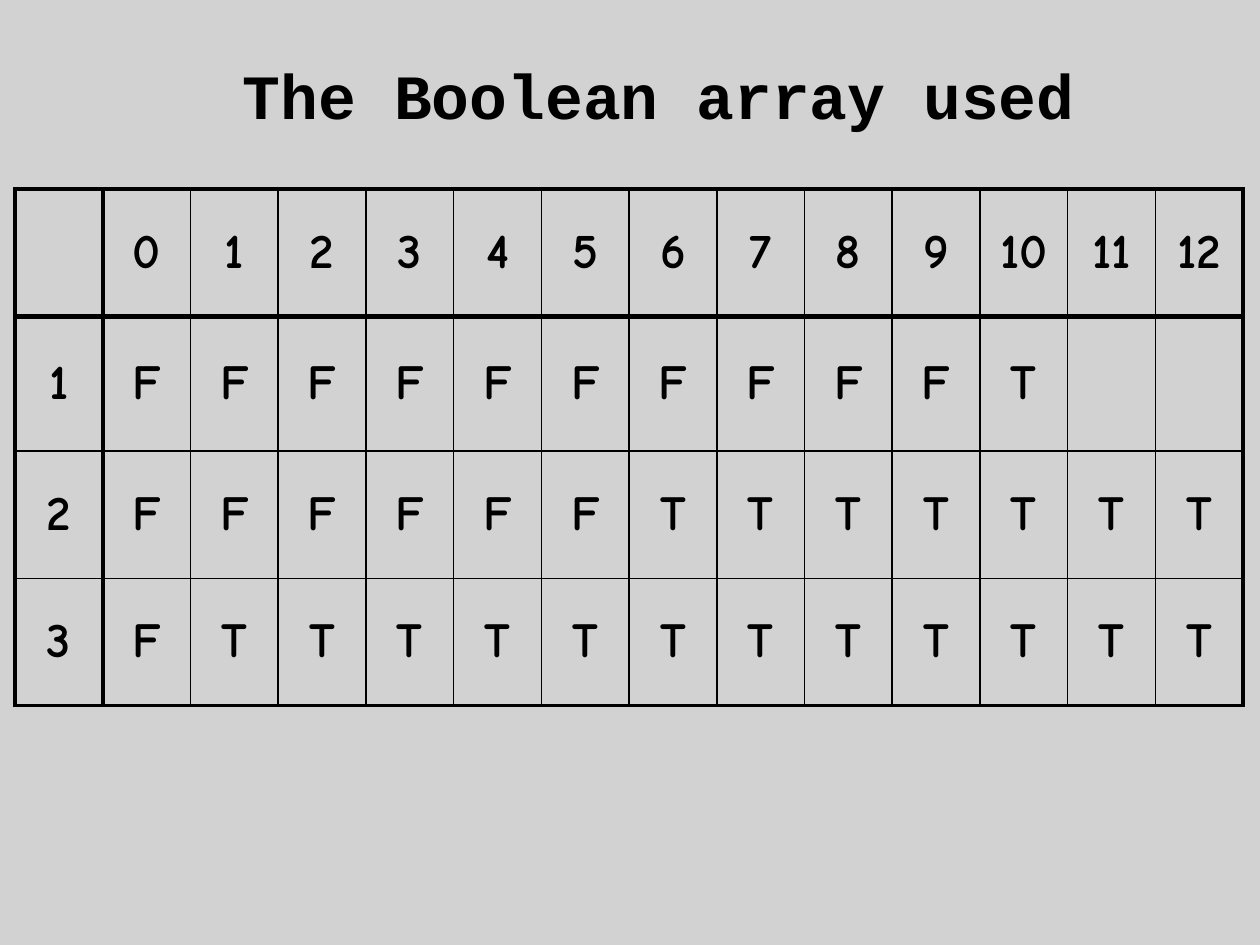
from lxml.etree import SubElement as Sub
from pptx import Presentation as Deck
from pptx.dml.color import RGBColor as RGB
from pptx.enum.shapes import MSO_SHAPE as Shape
from pptx.enum.text import MSO_ANCHOR as Anchor, MSO_AUTO_SIZE as Fit, PP_ALIGN as Align
from pptx.oxml.ns import qn
from pptx.util import Inches, Pt

HUES = {"ink": "000000", "back": "C0C0C0"}
ROWS = [
    [""] + [str(num) for num in range(13)],
    ["1"] + ["F"] * 10 + ["T"] + [""] * 2,
    ["2"] + ["F"] * 6 + ["T"] * 7,
    ["3"] + ["F"] + ["T"] * 12,
]
TALL = [1.01, 1.07, 1.01, 1.01]


def add_run(para, text, font, size):
    run = para.add_run()
    run.text = text
    run.font.name = font
    run.font.size = Pt(size)
    run.font.bold = True
    run.font.color.rgb = RGB.from_string(HUES["ink"])


def add_back(slide, box):
    rect = slide.shapes.add_shape(Shape.RECTANGLE, *map(Inches, box))
    rect.shadow.inherit = False
    rect.line.fill.background()
    rect.fill.solid()
    rect.fill.fore_color.rgb = RGB.from_string(HUES["back"])
    tint = rect.fill._xPr.find(".//" + qn("a:srgbClr"))
    Sub(tint, qn("a:alpha"), val="70000")


def add_title(slide, box, text):
    frame = slide.shapes.add_textbox(*map(Inches, box)).text_frame
    frame.word_wrap = True
    frame.auto_size = Fit.SHAPE_TO_FIT_TEXT
    add_run(frame.paragraphs[0], text, "Courier New", 36)


def weight(edge, last):
    if edge in (0, last):
        return 2.25
    return 3 if edge == 1 else 1


def add_edges(cell, sizes):
    props = cell._tc.get_or_add_tcPr()
    for side, size in zip("LRTB", sizes):
        line = Sub(props, qn("a:ln" + side), w=str(Pt(size)))
        fill = Sub(line, qn("a:solidFill"))
        Sub(fill, qn("a:srgbClr"), val=HUES["ink"])


def add_grid(slide, box, rows):
    high, wide = len(rows), len(rows[0])
    table = slide.shapes.add_table(high, wide, *map(Inches, box)).table
    table.first_row = table.horz_banding = False
    for col in table.columns:
        col.width = Inches(box[2] / wide)
    for row, size in zip(table.rows, TALL):
        row.height = Inches(size)
    for y, row in enumerate(rows):
        for x, text in enumerate(row):
            cell = table.cell(y, x)
            cell.vertical_anchor = Anchor.MIDDLE
            add_edges(cell, [weight(x, wide), weight(x + 1, wide),
                             weight(y, high), weight(y + 1, high)])
            cell.fill.background()
            if text:
                para = cell.text_frame.paragraphs[0]
                para.alignment = Align.CENTER
                add_run(para, text, "Comic Neue", 28)


def main():
    deck = Deck()
    deck.slide_width, deck.slide_height = Inches(10), Inches(7.5)
    slide = deck.slides.add_slide(deck.slide_layouts[6])
    add_back(slide, (0, 0, 10, 7.5))
    add_grid(slide, (0.12, 1.5, 9.75, sum(TALL)), ROWS)
    add_title(slide, (1.83, 0.4, 6.87, 0.71), "The Boolean array used")
    deck.save("out.pptx")


if __name__ == "__main__":
    main()
